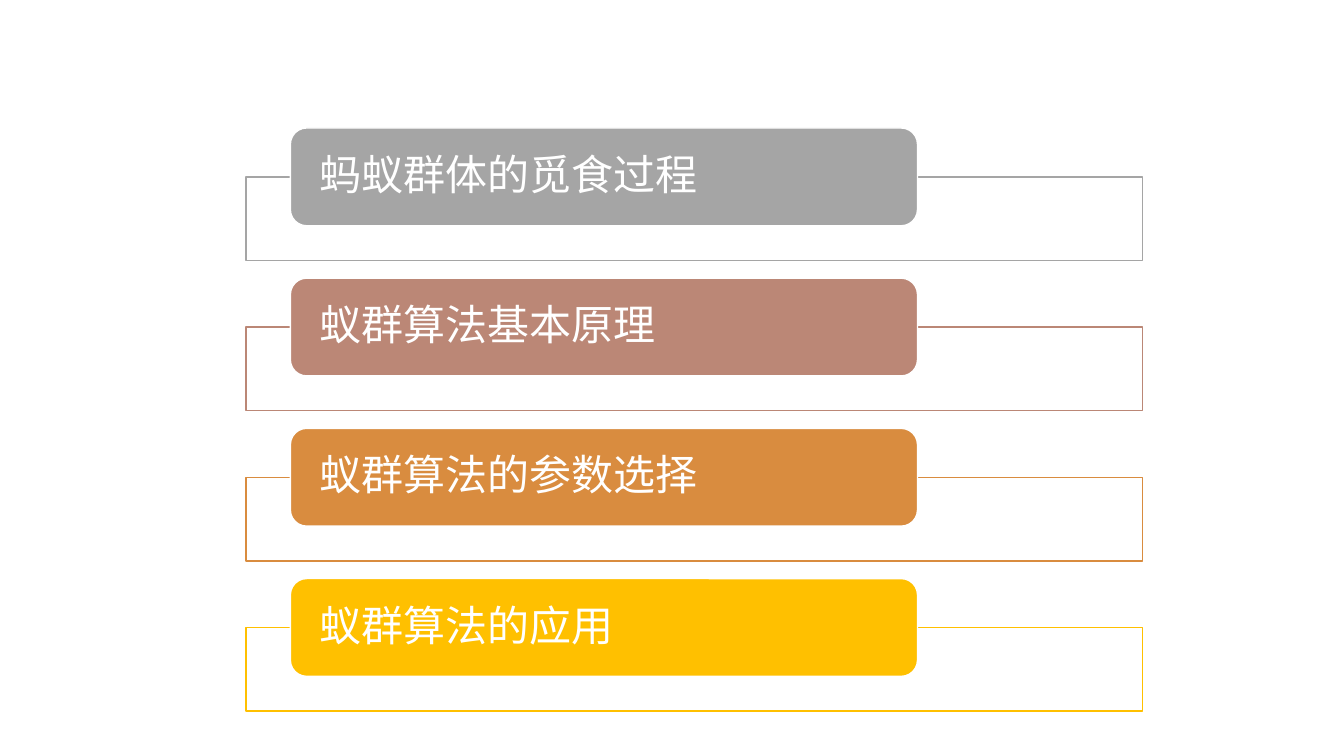
from dataclasses import dataclass

from pptx import Presentation
from pptx.dml.color import RGBColor
from pptx.enum.shapes import MSO_SHAPE as Shape
from pptx.enum.text import MSO_ANCHOR as Anchor, PP_ALIGN as Align
from pptx.util import Inches, Pt


@dataclass(frozen=True)
class Theme:
    font: str = "Calibri"
    size: int = 30
    line_width: int = 1
    white: str = "FFFFFF"
    accents: tuple = ("A5A5A5", "BB8776", "D98C3F", "FFC000")


theme = Theme()
topics = ("蚂蚁群体的觅食过程", "蚁群算法基本原理", "蚁群算法的参数选择", "蚁群算法的应用")
first_top, row_step = 1.27, 1.49
label_height = 0.97

presentation = Presentation()
presentation.slide_width = Inches(13.33)
presentation.slide_height = Inches(7.5)
slide = presentation.slides.add_slide(presentation.slide_layouts[6])


def add_box(kind, left, top, width, height, fill, line):
    shape = slide.shapes.add_shape(
        kind, Inches(left), Inches(top), Inches(width), Inches(height))
    shape.shadow.inherit = False
    shape.fill.solid()
    shape.fill.fore_color.rgb = RGBColor.from_string(fill)
    shape.line.color.rgb = RGBColor.from_string(line)
    shape.line.width = Pt(theme.line_width)
    return shape


for row, (topic, accent) in enumerate(zip(topics, theme.accents)):
    top = first_top + row * row_step

    # Outlined frame, starting at the middle of its label
    add_box(Shape.RECTANGLE, 2.44, top + label_height / 2, 8.89, 0.83,
            theme.white, accent)

    # Coloured label with the topic
    label = add_box(Shape.ROUNDED_RECTANGLE, 2.88, top, 6.22, label_height,
                    accent, theme.white)
    frame = label.text_frame
    frame.word_wrap = True
    frame.vertical_anchor = Anchor.MIDDLE
    frame.margin_left = frame.margin_right = Inches(0.24)
    frame.margin_top = frame.margin_bottom = 0
    paragraph = frame.paragraphs[0]
    paragraph.text = topic
    paragraph.alignment = Align.LEFT
    paragraph.line_spacing = 0.9
    paragraph.font.name = theme.font
    paragraph.font.size = Pt(theme.size)
    paragraph.font.color.rgb = RGBColor.from_string(theme.white)

presentation.save("out.pptx")
